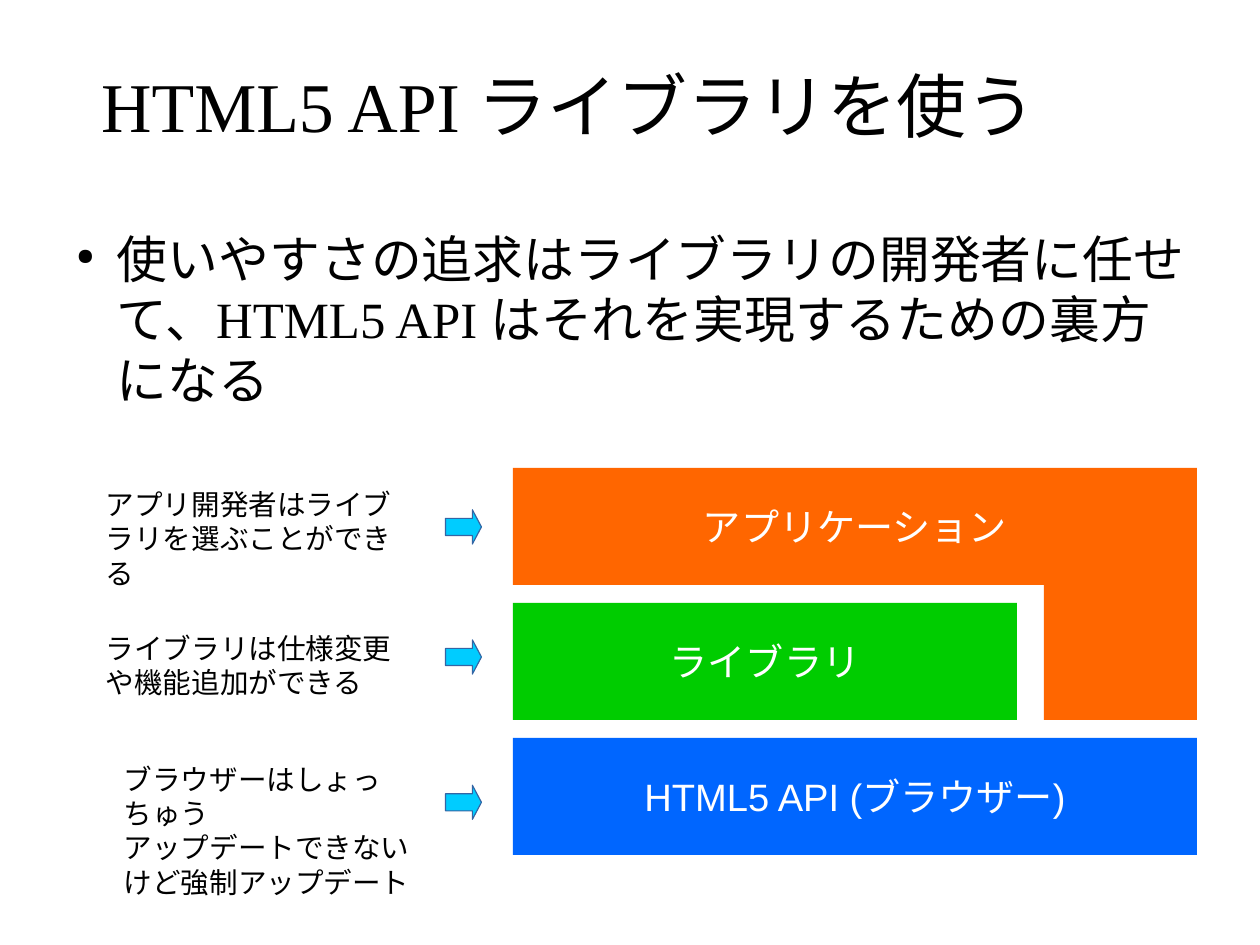
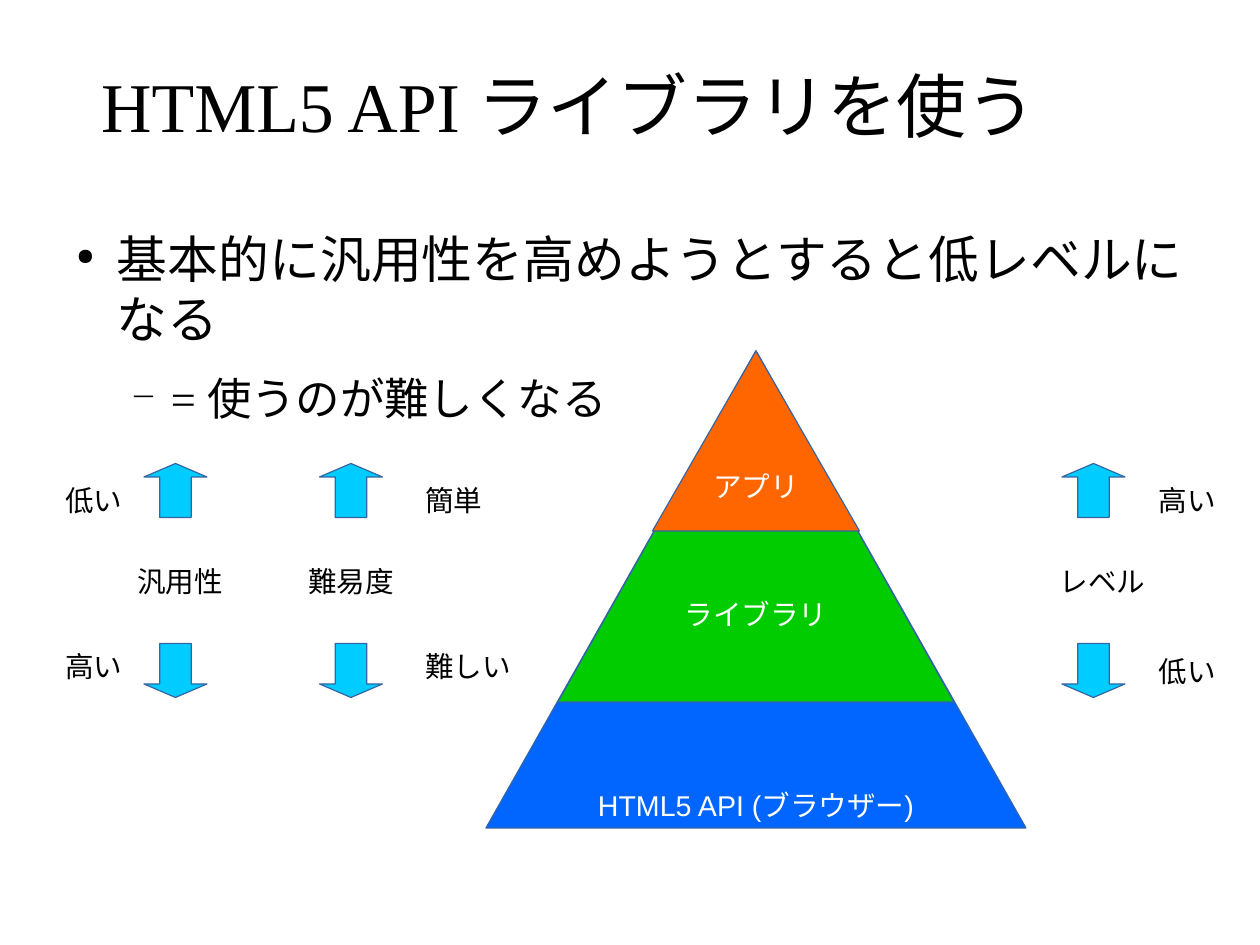
"""Build two slides on using libraries over the HTML5 API."""
from dataclasses import dataclass

from lxml.etree import SubElement
from pptx import Presentation
from pptx.dml.color import RGBColor
from pptx.enum.shapes import MSO_SHAPE
from pptx.enum.text import MSO_ANCHOR, PP_ALIGN
from pptx.oxml.ns import qn
from pptx.shapes.autoshape import Shape
from pptx.slide import Slide
from pptx.text.text import TextFrame
from pptx.util import Cm, Pt

COLORS = {
    "text": "000000",
    "light": "FFFFFF",
    "app": "FF6600",
    "library": "00CC00",
    "browser": "0066FF",
    "arrow": "00CCFF",
    "outline": "3465A4",
}
SERIF, SANS = "Times New Roman", "Arial"
TITLE = "HTML5 API ライブラリを使う"
BROWSER = "HTML5 API (ブラウザー)"


@dataclass(frozen=True)
class Font:
    size: int
    name: str = SANS
    color: str = "text"


@dataclass(frozen=True)
class Box:
    left: float
    top: float
    width: float
    height: float


@dataclass(frozen=True)
class Bullet:
    char: str
    percent: int
    indent: float
    after: float
    size: int


@dataclass(frozen=True)
class Layer:
    text: str
    color: str
    width: float
    height: float
    anchor: MSO_ANCHOR = MSO_ANCHOR.MIDDLE


@dataclass(frozen=True)
class Note:
    lines: tuple[str, ...]
    box: Box
    arrow_top: float


@dataclass(frozen=True)
class Scale:
    name: str
    name_left: float
    arrow_left: float
    end_left: float
    top_end: str
    bottom_end: str
    bottom_top: float = 14.3


BULLETS = (Bullet("●", 45, 1.2, 14.1, 32), Bullet("−", 75, 2.4, 11.3, 28))
NOTES = (
    Note(("アプリ開発者はライブラリを選ぶことができる",), Box(2.1, 10.7, 7.4, 3), 11.33),
    Note(("ライブラリは仕様変更や機能追加ができる",), Box(2.1, 13.9, 7.4, 2.16), 14.22),
    Note(("ブラウザーはしょっちゅう", "アップデートできない", "けど強制アップデート"),
         Box(2.5, 16.8, 7, 3.94), 17.45),
)
STACK = (
    Layer("アプリケーション", "app", 15.2, 2.6),
    Layer("ライブラリ", "library", 11.2, 2.6),
    Layer(BROWSER, "browser", 15.2, 2.6),
)
PYRAMID = (
    Layer(BROWSER, "browser", 12, 10.6, MSO_ANCHOR.BOTTOM),
    Layer("ライブラリ", "library", 8.8, 7.8),
    Layer("アプリ", "app", 4.6, 4),
)
SCALES = (
    Scale("汎用性", 2.8, 3.2, 1.2, "低い", "高い"),
    Scale("難易度", 6.6, 7.1, 9.2, "簡単", "難しい"),
    Scale("レベル", 23.3, 23.6, 25.5, "高い", "低い", 14.4),
)


def rgb(name: str) -> RGBColor:
    """Look a colour up by its name."""
    return RGBColor.from_string(COLORS[name])


def write(tf: TextFrame, lines: tuple[str, ...], font: Font,
          align: PP_ALIGN = PP_ALIGN.LEFT) -> None:
    """Write each line as a paragraph of one run."""
    for i, line in enumerate(lines):
        p = tf.paragraphs[0] if i == 0 else tf.add_paragraph()
        p.alignment = align
        r = p.add_run()
        r.text = line
        r.font.size = Pt(font.size)
        r.font.name = font.name
        r.font.color.rgb = rgb(font.color)


def add_text(s: Slide, box: Box, wrap: bool = True, inset: bool = True) -> TextFrame:
    """Add an empty text box and return its frame."""
    tf = s.shapes.add_textbox(
        Cm(box.left), Cm(box.top), Cm(box.width), Cm(box.height)).text_frame
    tf.word_wrap = wrap
    if not inset:
        tf.margin_left = tf.margin_top = tf.margin_right = tf.margin_bottom = 0
    return tf


def add_shape(s: Slide, kind: MSO_SHAPE, box: Box, fill: str, outlined: bool = True) -> Shape:
    """Add a flat filled shape, with a hairline if outlined."""
    sp = s.shapes.add_shape(
        kind, Cm(box.left), Cm(box.top), Cm(box.width), Cm(box.height))
    sp.shadow.inherit = False
    sp.fill.solid()
    sp.fill.fore_color.rgb = rgb(fill)
    if outlined:
        sp.line.color.rgb = rgb("outline")
        sp.line.width = 0
    else:
        sp.line.fill.background()
    return sp


def add_layer(s: Slide, kind: MSO_SHAPE, layer: Layer, left: float, top: float,
              size: int, outlined: bool) -> None:
    """Add a shape with its name in white."""
    sp = add_shape(s, kind, Box(left, top, layer.width, layer.height), layer.color, outlined)
    tf = sp.text_frame
    tf.word_wrap = False
    tf.vertical_anchor = layer.anchor
    write(tf, (layer.text,), Font(size, color="light"), PP_ALIGN.CENTER)


def add_label(s: Slide, text: str, left: float, top: float) -> None:
    """Add a short label as wide as its characters."""
    box = Box(left, top, 0.51 + 0.635 * len(text), 1.17)
    write(add_text(s, box, wrap=False), (text,), Font(18))


def add_slide(prs: Presentation, points: tuple[str, ...]) -> Slide:
    """Add a slide with the shared title and bullets, one level deeper each."""
    s = prs.slides.add_slide(prs.slide_layouts[6])
    tf = add_text(s, Box(1.4, 0.8, 22.5, 3.07), inset=False)
    tf.vertical_anchor = MSO_ANCHOR.MIDDLE
    write(tf, (TITLE,), Font(44, SERIF), PP_ALIGN.CENTER)
    tf = add_text(s, Box(1.4, 5.05, 25.2, 12.18), inset=False)
    write(tf, points, Font(32, SERIF))
    for level, (p, bullet) in enumerate(zip(tf.paragraphs, BULLETS)):
        p.level = level
        p.space_after = Pt(bullet.after)
        p.runs[0].font.size = Pt(bullet.size)
        ppr = p._p.get_or_add_pPr()
        ppr.set("marL", str(Cm(bullet.indent)))
        ppr.set("indent", str(Cm(-0.9)))
        SubElement(ppr, qn("a:buSzPct")).set("val", str(bullet.percent * 1000))
        SubElement(ppr, qn("a:buChar")).set("char", bullet.char)
    return s


def build_stack(prs: Presentation) -> None:
    """Show the layers as blocks with notes beside them."""
    s = add_slide(prs, (
        "使いやすさの追求はライブラリの開発者に任せて、HTML5 API はそれを実現するための裏方になる",))
    for i, layer in enumerate(STACK):
        add_layer(s, MSO_SHAPE.RECTANGLE, layer, 11.4, 10.4 + 3 * i, 24, False)
    add_shape(s, MSO_SHAPE.RECTANGLE, Box(23.2, 13, 3.4, 3), "app", False)
    for note in NOTES:
        write(add_text(s, note.box), note.lines, Font(18))
        sp = add_shape(s, MSO_SHAPE.RIGHT_ARROW, Box(9.9, note.arrow_top, 0.8, 0.76), "arrow")
        sp.adjustments[1] = 0.265


def build_pyramid(prs: Presentation) -> None:
    """Show the layers as a pyramid between scales."""
    s = add_slide(prs, ("基本的に汎用性を高めようとすると低レベルになる", "= 使うのが難しくなる"))
    for layer in PYRAMID:
        add_layer(s, MSO_SHAPE.ISOSCELES_TRIANGLE, layer, 16.8 - layer.width / 2, 7.8, 18, True)
    for scale in SCALES:
        add_label(s, scale.name, scale.name_left, 12.4)
        add_label(s, scale.top_end, scale.end_left, 10.6)
        add_label(s, scale.bottom_end, scale.end_left, scale.bottom_top)
        for kind, top in ((MSO_SHAPE.UP_ARROW, 10.3), (MSO_SHAPE.DOWN_ARROW, 14.3)):
            sp = add_shape(s, kind, Box(scale.arrow_left, top, 1.4, 1.2), "arrow")
            sp.adjustments[1] = 0.25


def main() -> None:
    """Build and save the presentation."""
    prs = Presentation()
    prs.slide_width, prs.slide_height = Cm(28), Cm(21)
    build_stack(prs)
    build_pyramid(prs)
    prs.save("out.pptx")


if __name__ == "__main__":
    main()
